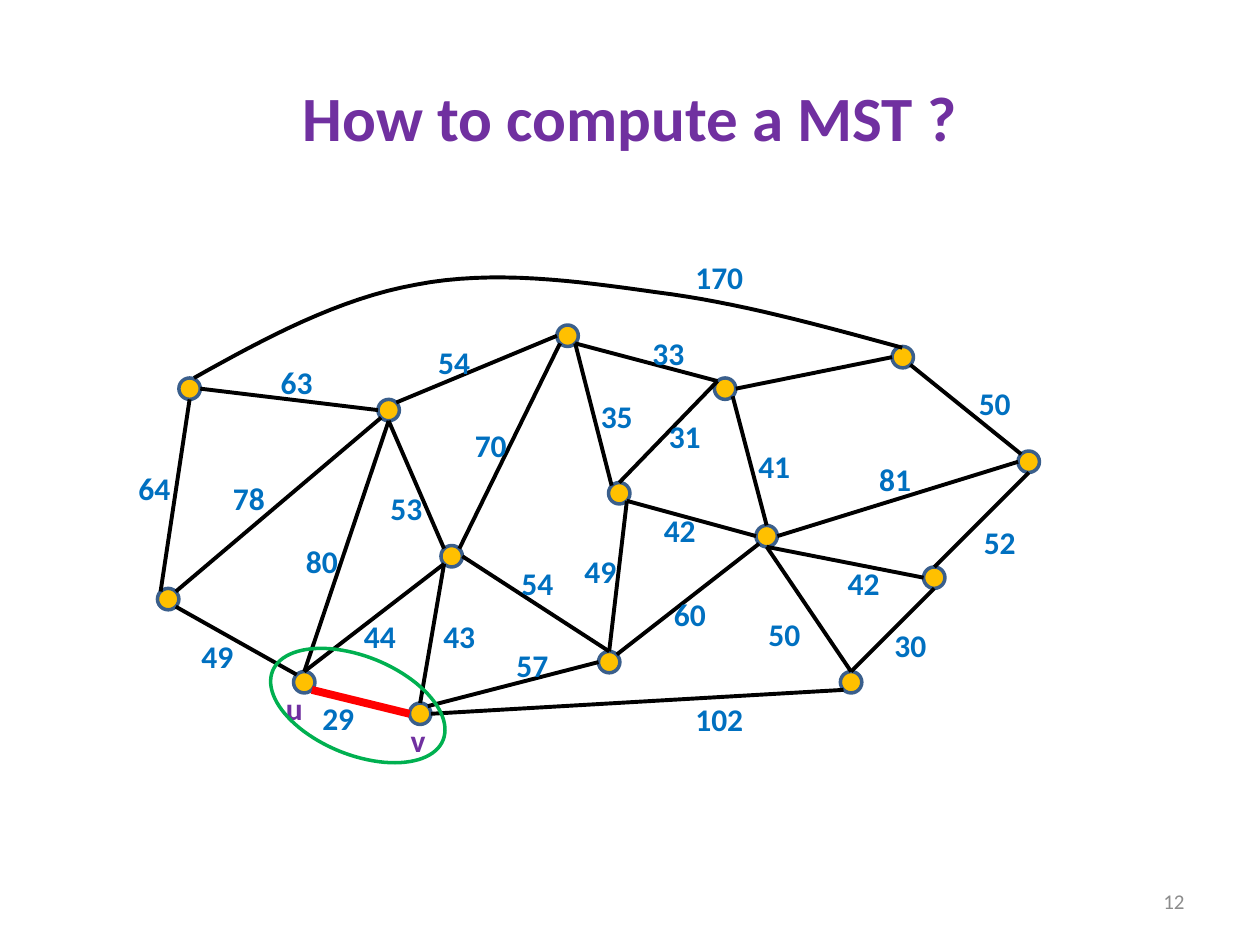
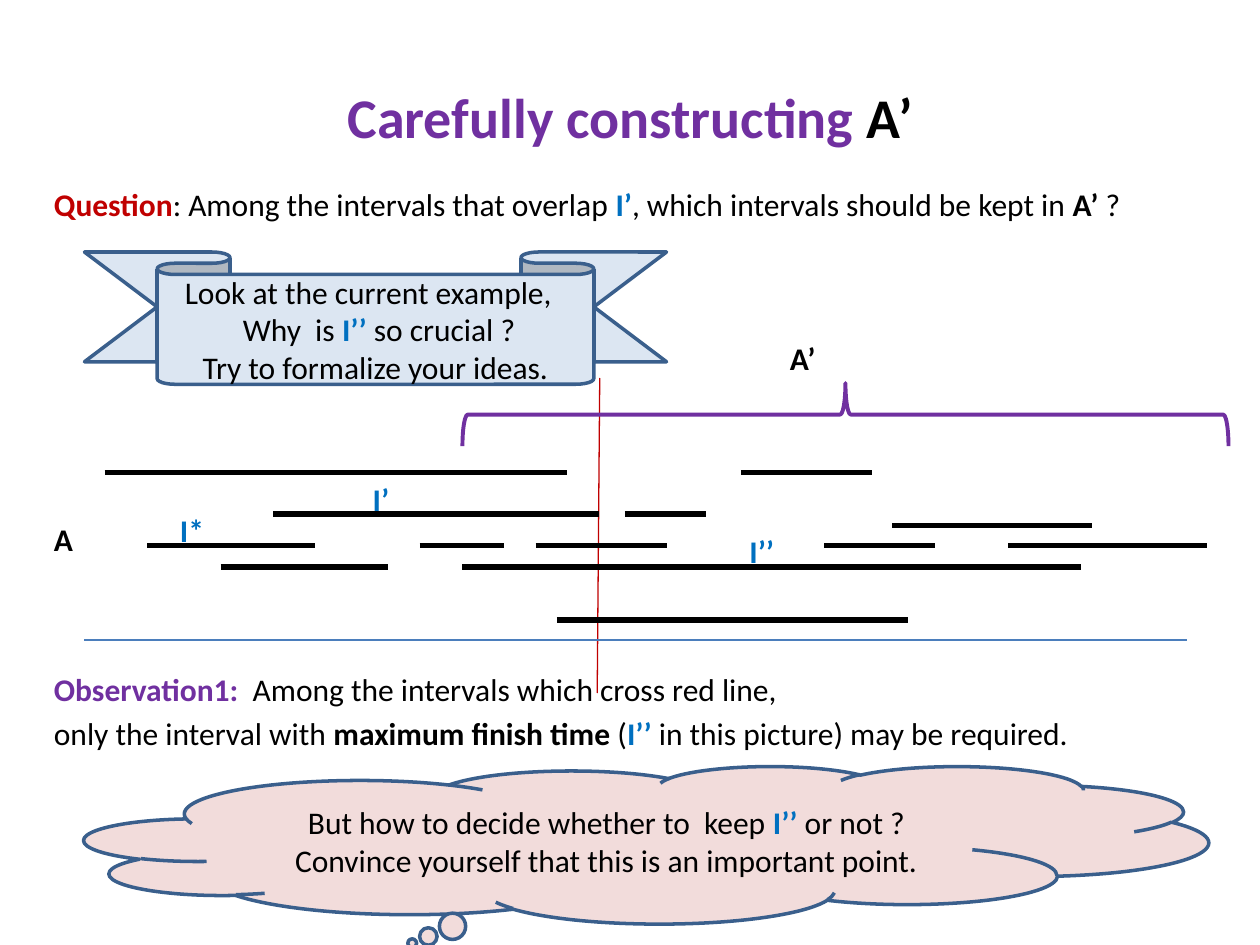
"""Build two lecture slides: a weighted graph and an interval diagram."""
from pptx import Presentation
from pptx.dml.color import RGBColor
from pptx.enum.shapes import MSO_CONNECTOR, MSO_SHAPE
from pptx.enum.text import MSO_ANCHOR, PP_ALIGN
from pptx.oxml.ns import qn
from pptx.util import Inches, Pt
from lxml import etree

FONT = "Calibri"
BLACK = RGBColor(0x00, 0x00, 0x00)
PURPLE = RGBColor(0x70, 0x30, 0xA0)
BLUE = RGBColor(0x00, 0x70, 0xC0)
RED = RGBColor(0xFF, 0x00, 0x00)
DARK_RED = RGBColor(0xC0, 0x00, 0x00)
GREEN = RGBColor(0x00, 0xB0, 0x50)
GOLD = RGBColor(0xFF, 0xC0, 0x00)
GREY = RGBColor(0x8C, 0x8C, 0x8C)
OUTLINE = RGBColor(0x3A, 0x5F, 0x8C)
AXIS_BLUE = RGBColor(0x4B, 0x7E, 0xBC)
PALE_BLUE = RGBColor(0xDC, 0xE6, 0xF2)
PINK = RGBColor(0xF2, 0xDC, 0xDB)

STRAIGHT = MSO_CONNECTOR.STRAIGHT
OVAL = MSO_SHAPE.OVAL
RIGHT_BRACE = MSO_SHAPE.RIGHT_BRACE
CLOUD = MSO_SHAPE.CLOUD_CALLOUT
RIBBON = MSO_SHAPE.DOWN_RIBBON
MIDDLE = MSO_ANCHOR.MIDDLE
TOP = MSO_ANCHOR.TOP
LEFT, CENTER, RIGHT = PP_ALIGN.LEFT, PP_ALIGN.CENTER, PP_ALIGN.RIGHT
TITLE_ONLY = 5

NODE_SIZE = 0.17
NODES = {
    "a": (1.42, 3), "b": (3, 3.17), "c": (1.25, 4.67), "d": (3.5, 4.33),
    "e": (4.42, 2.58), "u": (2.33, 5.33), "f": (5.67, 3), "g": (6, 4.17),
    "h": (4.75, 5.17), "i": (7.33, 4.5), "j": (6.67, 5.33), "v": (3.25, 5.58),
    "k": (4.83, 3.83), "l": (7.08, 2.75), "m": (8.08, 3.58),
}
SITES = {
    "N": (0, -1), "S": (0, 1), "E": (1, 0), "W": (-1, 0),
    "NE": (0.71, -0.71), "NW": (-0.71, -0.71),
    "SE": (0.71, 0.71), "SW": (-0.71, 0.71),
}
EDGES = [
    "a E b W", "a S c NW", "b S d NW", "d SW u N", "e SW d NE", "f NW k N",
    "e SE f NW", "d E h N", "d SW v N", "b NE e W", "f E l W", "l SE m NW",
    "f SE g N", "m W g E", "i W g S", "j N g S", "h N k SE", "k SE g W",
    "v E j SW", "c SE u NW", "h W v NE", "b SW c NE", "b S u N", "e SE k NW",
    "g SW h NE", "m S i N", "j N i S",
]
LIGHTEST_EDGE = "v W u SE"
WEIGHTS = [
    ("170", 5.42, 2), ("33", 5.08, 2.6), ("35", 4.67, 3.1), ("31", 5.21, 3.26),
    ("41", 5.92, 3.5), ("81", 6.88, 3.6), ("52", 7.71, 4.1), ("42", 6.63, 4.43),
    ("50", 7.67, 3), ("102", 5.42, 5.51), ("50", 6, 4.83), ("30", 7, 4.92),
    ("60", 5.25, 4.67), ("70", 3.67, 3.33), ("54", 4.04, 4.43), ("57", 4, 5.08),
    ("49", 4.54, 4.33), ("49", 1.5, 5.01), ("80", 2.33, 4.25), ("78", 1.75, 3.75),
    ("63", 2.13, 2.83), ("54", 3.38, 2.67), ("53", 3, 3.83), ("44", 2.79, 4.85),
    ("29", 2.46, 5.5), ("64", 1, 3.67), ("42", 5.17, 4.01), ("43", 3.42, 4.85),
]
LONG_EDGE = [
    [(1.54, 3), (2.11, 2.68), (2.69, 2.37), (3.3, 2.26)],
    [(3.3, 2.26), (3.92, 2.14), (4.57, 2.23), (5.21, 2.32)],
    [(5.21, 2.32), (5.85, 2.4), (6.5, 2.58), (7.16, 2.76)],
]
INTERVALS = {
    3.75: [(0.83, 4.5), (5.88, 6.92)],
    4.08: [(2.17, 4.75), (4.96, 5.6)],
    4.17: [(7.08, 8.67)],
    4.33: [(1.17, 2.5), (3.33, 4), (4.25, 5.29), (6.54, 7.42), (8, 9.58)],
    4.5: [(1.75, 3.08), (3.67, 8.58)],
    4.92: [(4.42, 7.21)],
}


def bezier_point(curve, t):
    """Return the point of a cubic curve at parameter t."""
    factors = ((1 - t) ** 3, 3 * t * (1 - t) ** 2, 3 * t * t * (1 - t), t ** 3)
    return tuple(sum(f * point[axis] for f, point in zip(factors, curve)) for axis in (0, 1))


def edge_ends(edge):
    """Return the two end points of an edge named by nodes and sites."""
    words = edge.split()
    radius = NODE_SIZE / 2
    return [tuple(corner + radius * (1 + shift)
                  for corner, shift in zip(NODES[node], SITES[site]))
            for node, site in (words[:2], words[2:])]


class Deck:
    """Hold the presentation, its style and the current slide."""

    def __init__(self):
        """Start an empty presentation of 10 by 7.5 inches."""
        self.presentation = Presentation()
        self.presentation.slide_width = Inches(10)
        self.presentation.slide_height = Inches(7.5)
        self.slide = None

    def new_slide(self, title_runs, size):
        """Add a slide with a formatted title."""
        layout = self.presentation.slide_layouts[TITLE_ONLY]
        self.slide = self.presentation.slides.add_slide(layout)
        title = self.slide.shapes.title
        title.left, title.top = Inches(0.5), Inches(0.3)
        title.width, title.height = Inches(9), Inches(1.25)
        self.add_runs(title, [title_runs], size, CENTER, MIDDLE)

    def add_runs(self, shape, paragraphs, size=18, align=LEFT, anchor=TOP, before=0):
        """Fill a shape with paragraphs of (text, colour, bold) runs."""
        frame = shape.text_frame
        frame.vertical_anchor = anchor
        for index, runs in enumerate(paragraphs):
            paragraph = frame.add_paragraph() if index else frame.paragraphs[0]
            paragraph.alignment = align
            paragraph.space_before = Pt(before)
            for text, color, bold in runs:
                run = paragraph.add_run()
                run.text = text
                run.font.name = FONT
                run.font.size = Pt(size)
                run.font.bold = bold
                run.font.color.rgb = color

    def text(self, left, top, width, height, paragraphs, wrap=True, **style):
        """Add a text box."""
        box = self.slide.shapes.add_textbox(
            Inches(left), Inches(top), Inches(width), Inches(height))
        box.text_frame.word_wrap = wrap
        self.add_runs(box, paragraphs, **style)

    def label(self, text, left, top, width, color=BLUE):
        """Add a short bold label."""
        self.text(left, top, width, 0.4, [[(text, color, True)]], wrap=False)

    def line(self, start, end, color=BLACK, weight=2.25):
        """Add a straight line."""
        connector = self.slide.shapes.add_connector(
            STRAIGHT, *(Inches(value) for value in (*start, *end)))
        connector.line.color.rgb = color
        connector.line.width = Pt(weight)
        etree.SubElement(connector._element.spPr, qn("a:effectLst"))

    def paint(self, shape, fill, line, weight):
        """Set the fill and outline of a shape."""
        shape.shadow.inherit = False
        if fill is None:
            shape.fill.background()
        else:
            shape.fill.solid()
            shape.fill.fore_color.rgb = fill
        shape.line.color.rgb = line
        shape.line.width = Pt(weight)

    def shape(self, kind, left, top, width, height, fill=None, line=OUTLINE,
              weight=2, rotation=0):
        """Add a preset shape."""
        shape = self.slide.shapes.add_shape(
            kind, Inches(left), Inches(top), Inches(width), Inches(height))
        self.paint(shape, fill, line, weight)
        shape.rotation = rotation
        return shape

    def curve(self, curves, steps=16):
        """Add an open outline that follows joined cubic curves."""
        points = [tuple(Inches(value) for value in bezier_point(curve, step / steps))
                  for curve in curves for step in range(1, steps + 1)]
        builder = self.slide.shapes.build_freeform(*(Inches(value) for value in curves[0][0]))
        builder.add_line_segments(points, close=False)
        self.paint(builder.convert_to_shape(), None, BLACK, 2.25)


def build_graph_slide(deck):
    """Draw the weighted graph with its lightest edge marked."""
    deck.new_slide([("How to compute a MST ?", PURPLE, True)], 36)
    deck.text(7.17, 6.95, 2.33, 0.4, [[("12", GREY, False)]],
              size=12, align=RIGHT, anchor=MIDDLE)
    for left, top in NODES.values():
        deck.shape(OVAL, left, top, NODE_SIZE, NODE_SIZE, fill=GOLD)
    for edge in EDGES:
        deck.line(*edge_ends(edge))
    deck.line(*edge_ends(LIGHTEST_EDGE), RED, 4.5)
    deck.curve(LONG_EDGE)
    for weight, left, top in WEIGHTS:
        deck.label(weight, left, top, 0.2 + 0.13 * len(weight))
    deck.label("u", 2.17, 5.42, 0.34, PURPLE)
    deck.label("v", 3.16, 5.67, 0.32, PURPLE)
    deck.shape(OVAL, 2.11, 5.21, 1.46, 0.78, line=GREEN, rotation=22.1)


def build_interval_slide(deck):
    """Draw the intervals, the red line and the remarks around them."""
    deck.new_slide([("Carefully constructing ", PURPLE, True), ("A’", BLACK, True)], 32)
    deck.text(0.33, 1.42, 9.5, 0.45, [[
        ("Question", DARK_RED, True),
        (": Among the intervals that overlap ", BLACK, False),
        ("I’", BLUE, True),
        (", which intervals should be kept in ", BLACK, False),
        ("A’ ", BLACK, True),
        ("?", BLACK, False),
    ]], before=3.6)
    deck.text(0.33, 5.27, 9.5, 0.8, [
        [("Observation1:  ", PURPLE, True),
         ("Among the intervals which cross red line,", BLACK, False)],
        [("only the interval with ", BLACK, False),
         ("maximum finish time ", BLACK, True),
         ("(", BLACK, False),
         ("I’’ ", BLUE, True),
         ("in this picture) may be required.", BLACK, False)],
    ], before=3.6)
    deck.line((4.76, 3), (4.74, 5.5), DARK_RED, 0.75)
    deck.line((0.67, 5.08), (9.42, 5.08), AXIS_BLUE, 1.5)
    for height, spans in INTERVALS.items():
        for start, finish in spans:
            deck.line((start, height), (finish, height), weight=3)
    deck.label("I’’", 5.85, 4.17, 0.4)
    deck.label("I*", 1.33, 4.01, 0.39)
    deck.label("I’", 2.86, 3.76, 0.33)
    deck.label("A", 0.33, 4.08, 0.35, BLACK)
    deck.shape(RIGHT_BRACE, 6.46, 0.25, 0.5, 6.08, line=PURPLE, weight=2.25, rotation=270)
    deck.label("A’", 6.17, 2.64, 0.41, BLACK)
    cloud = deck.shape(CLOUD, 0.67, 6.08, 8.92, 1.25, fill=PINK)
    deck.add_runs(cloud, [
        [("But how to decide whether to  keep ", BLACK, False),
         ("I’’ ", BLUE, True),
         ("or not ?", BLACK, False)],
        [("Convince yourself that this is an important point.", BLACK, False)],
    ], align=CENTER, anchor=MIDDLE)
    ribbon = deck.shape(RIBBON, 0.67, 2, 4.62, 1.05, fill=PALE_BLUE)
    ribbon.adjustments[0] = 0.17
    ribbon.adjustments[1] = 0.75
    deck.add_runs(ribbon, [
        [("Look at the current example,  ", BLACK, False)],
        [(" Why  is ", BLACK, False),
         ("I’’ ", BLUE, True),
         ("so crucial ?", BLACK, False)],
        [("Try to formalize your ideas.", BLACK, False)],
    ], align=CENTER, anchor=MIDDLE)


def main():
    """Build both slides and save them."""
    deck = Deck()
    build_graph_slide(deck)
    build_interval_slide(deck)
    deck.presentation.save("out.pptx")


if __name__ == "__main__":
    main()
